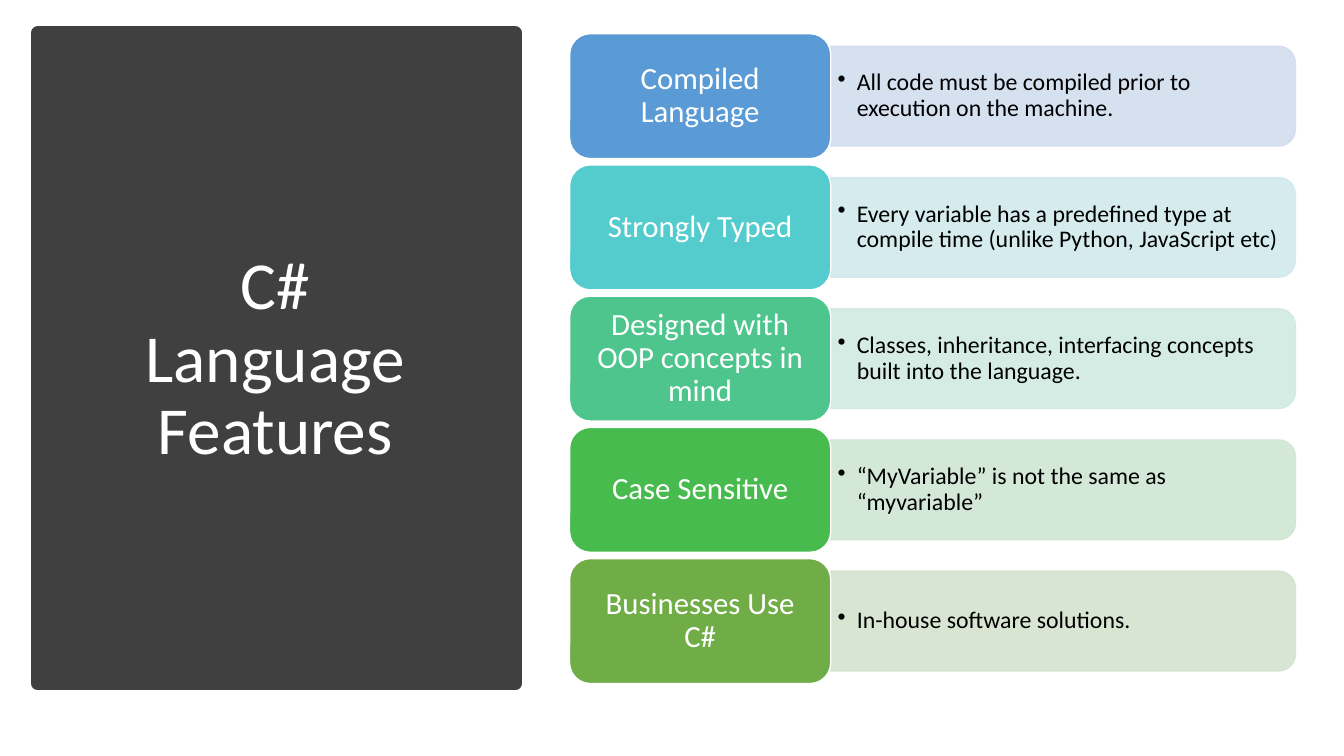
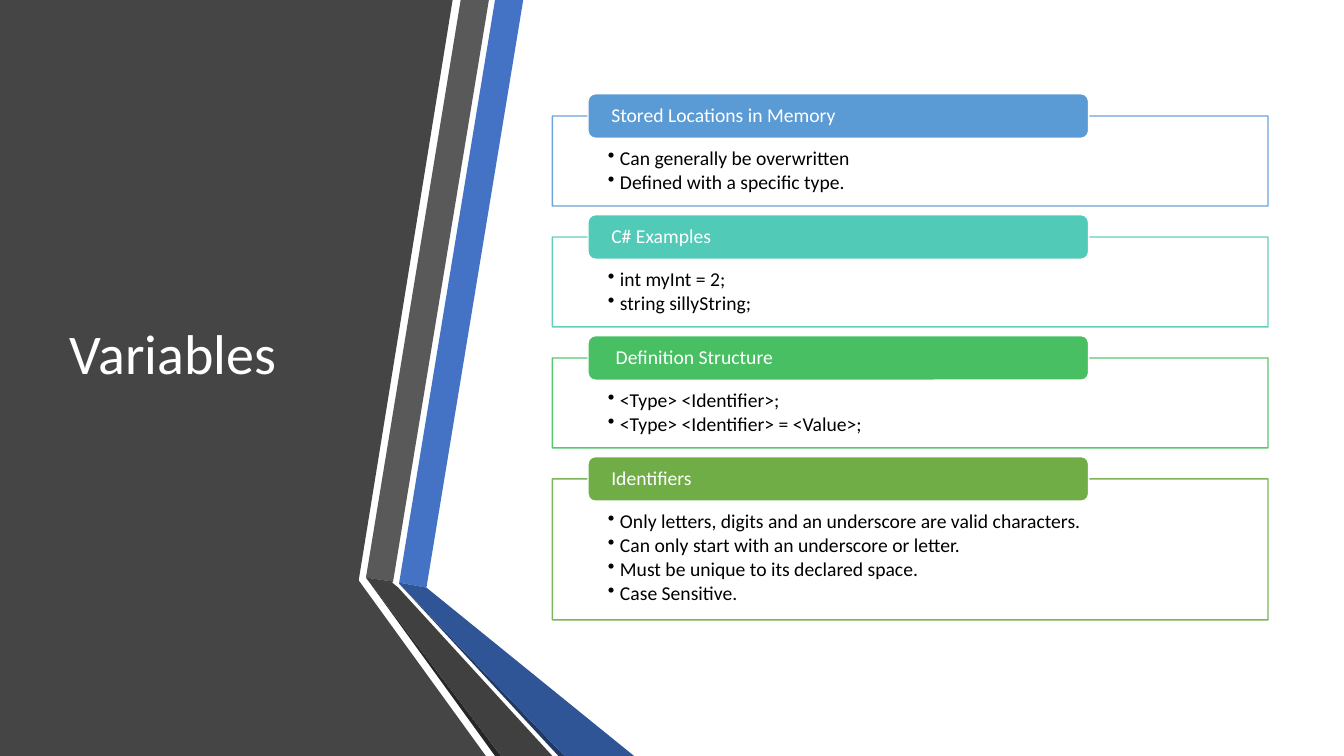
import pptx
import pptx.util
import pptx.dml.color
import pptx.enum.shapes
import pptx.enum.text
import pptx.oxml.ns
from lxml import etree

RGB = pptx.dml.color.RGBColor
KIND = pptx.enum.shapes.MSO_SHAPE
ALIGN = pptx.enum.text.PP_ALIGN
ANCHOR = pptx.enum.text.MSO_ANCHOR
Pt = pptx.util.Pt
Inches = pptx.util.Inches
qn = pptx.oxml.ns.qn

WIDTH = Inches(13.33)
HEIGHT = Inches(7.5)
COL = WIDTH / 100
ROW = HEIGHT / 100

WHITE = RGB(0xFF, 0xFF, 0xFF)
BLACK = RGB(0x00, 0x00, 0x00)
COAL = RGB(0x40, 0x40, 0x40)
SLATE = RGB(0x45, 0x45, 0x45)
GREY = RGB(0x59, 0x59, 0x59)
INK = RGB(0x26, 0x26, 0x26)
BLUE = RGB(0x44, 0x72, 0xC4)
NAVY = RGB(0x20, 0x38, 0x64)
ROYAL = RGB(0x2F, 0x55, 0x97)
SKY = RGB(0x5B, 0x9B, 0xD5)
AQUA = RGB(0x54, 0xCC, 0xCD)
MINT = RGB(0x4D, 0xC5, 0x8D)
GREEN = RGB(0x48, 0xBB, 0x4F)
OLIVE = RGB(0x70, 0xAD, 0x47)
TEAL = RGB(0x52, 0xCA, 0xB8)
LEAF = RGB(0x49, 0xBF, 0x64)
PALE_SKY = RGB(0xD2, 0xDE, 0xEF)
PALE_AQUA = RGB(0xD1, 0xE9, 0xED)
PALE_MINT = RGB(0xD0, 0xEA, 0xE1)
PALE_GREEN = RGB(0xD0, 0xE6, 0xD4)
PALE_OLIVE = RGB(0xD5, 0xE3, 0xCF)

FEATURES = [
    ("Compiled Language", "All code must be compiled prior to execution on the machine.",
     SKY, PALE_SKY),
    ("Strongly Typed",
     "Every variable has a predefined type at compile time (unlike Python, JavaScript etc)",
     AQUA, PALE_AQUA),
    ("Designed with OOP concepts in mind",
     "Classes, inheritance, interfacing concepts built into the language.",
     MINT, PALE_MINT),
    ("Case Sensitive", "“MyVariable” is not the same as “myvariable”",
     GREEN, PALE_GREEN),
    ("Businesses Use C#", "In-house software solutions.", OLIVE, PALE_OLIVE),
]

TOPICS = [
    ("Stored Locations in Memory", SKY, 11.9,
     ["Can generally be overwritten", "Defined with a specific type."]),
    ("C# Examples", TEAL, 11.9, ["int myInt = 2;", "string sillyString;"]),
    (" Definition Structure", LEAF, 11.9,
     ["<Type> <Identifier>;", "<Type> <Identifier> = <Value>;"]),
    ("Identifiers", OLIVE, 18.65,
     ["Only letters, digits and an underscore are valid characters.",
      "Can only start with an underscore or letter.",
      "Must be unique to its declared space.", "Case Sensitive."]),
]

BANDS = [
    (SLATE, [(0, 0), (33.68, 0), (26.7, 76.67), (26.7, 76.8), (36.15, 100), (0, 100)]),
    (BLUE, [(29.7, 77.07), (31.73, 77.73), (38.93, 0), (36.83, 0)]),
    (GREY, [(36.38, 0), (34.28, 0), (27.23, 76.4), (29.25, 76.93)]),
    (INK, [(27.23, 76.4), (36.83, 100), (37.28, 100)]),
    (NAVY, [(29.7, 77.2), (41.55, 100), (42, 100)]),
    (ROYAL, [(29.7, 77.2), (42, 100), (47.18, 100), (31.73, 77.73), (29.7, 77.07)]),
    (COAL, [(41.1, 100), (29.63, 77.73), (29.18, 77.07), (29.25, 76.93),
            (27.23, 76.4), (37.28, 100)]),
]


def apply(item, values):
    for name, value in values.items():
        setattr(item, name, value)


def area(left, top, width, height):
    return [round(left * COL), round(top * ROW), round(width * COL), round(height * ROW)]


def paint(shape, fill, line=None, weight=1, clear=False):
    shape.shadow.inherit = False
    shape.fill.solid()
    shape.fill.fore_color.rgb = fill
    if line is None:
        shape.line.fill.background()
    else:
        shape.line.color.rgb = line
        shape.line.width = Pt(weight)
    if clear:
        for color in shape.fill._xPr.iter(qn("a:srgbClr")):
            etree.SubElement(color, qn("a:alpha"), val="90000")


def write(shape, lines, size, color=WHITE, align=ALIGN.LEFT, anchor=ANCHOR.MIDDLE,
          inset=(0.1, 0.05), hang=0):
    frame = shape.text_frame
    side, edge = map(Inches, inset)
    apply(frame, {"word_wrap": True, "auto_size": pptx.enum.text.MSO_AUTO_SIZE.NONE,
                  "vertical_anchor": anchor, "margin_left": side, "margin_right": side,
                  "margin_top": edge, "margin_bottom": edge})
    for index, line in enumerate(lines):
        para = frame.add_paragraph() if index else frame.paragraphs[0]
        para.text = line
        apply(para, {"alignment": align, "line_spacing": 0.9,
                     "space_before": Pt(0), "space_after": Pt(2 if hang else 0)})
        apply(para.font, {"size": Pt(size), "name": "Calibri"})
        para.font.color.rgb = color
        if hang:
            props = para._p.get_or_add_pPr()
            props.set("marL", str(Inches(hang)))
            props.set("indent", str(-Inches(hang)))
            etree.SubElement(props, qn("a:buChar"), char="•")


def block(slide, kind, place, fill, line, **style):
    shape = slide.shapes.add_shape(kind, *area(*place))
    paint(shape, fill, line, **style)
    return shape


def band(slide, color, points):
    spots = [(round(x * COL), round(y * ROW)) for x, y in points]
    draft = slide.shapes.build_freeform(*spots[0])
    draft.add_line_segments(spots[1:])
    paint(draft.convert_to_shape(), color)


def head(slide, text, place, size, align=ALIGN.LEFT):
    title = slide.shapes.title
    slide.shapes._spTree.append(title._element)
    apply(title, dict(zip(("left", "top", "width", "height"), area(*place))))
    write(title, [text], size, align=align)


def bar(slide, left, mid, width, height, color):
    x, y, wide, high = area(left, mid - height / 2, width, height)
    shift = (wide - high) // 2
    shape = slide.shapes.add_shape(
        KIND.ROUND_2_SAME_RECTANGLE, x + shift, y - shift, high, wide)
    shape.rotation = 90
    paint(shape, color, color, clear=True)


def feature(slide, top, name, note, color, pale):
    high = 16.53
    mid = top + high / 2
    bar(slide, 61.8, mid, 34.58, 13.2, pale)
    box = slide.shapes.add_textbox(*area(61.8, mid - 5.93, 34.2, 11.86))
    write(box, [note], 17, BLACK, inset=(0.07, 0.04), hang=0.19)
    tile = block(slide, KIND.ROUNDED_RECTANGLE, (42.38, top, 19.43, high), color, WHITE)
    write(tile, [name], 22, align=ALIGN.CENTER, inset=(0.15, 0.11))


def topic(slide, top, name, color, high, notes):
    box = block(slide, KIND.RECTANGLE, (41.1, top, 53.25, high), WHITE, color, clear=True)
    write(box, notes, 14, BLACK, anchor=ANCHOR.TOP, inset=(0.55, 0.32), hang=0.12)
    box.text_frame.margin_bottom = Inches(0.11)
    label = block(slide, KIND.ROUNDED_RECTANGLE, (43.75, top - 2.95, 37.25, 5.9),
                  color, WHITE)
    write(label, [name], 14, inset=(0.21, 0))


def features(slide):
    block(slide, KIND.RECTANGLE, (2.8, 4.4, 35.55, 86), COAL, COAL, weight=10)
    head(slide, "C#\vLanguage Features", (4.88, 9.33, 31.2, 76.67), 48, ALIGN.CENTER)
    for index, item in enumerate(FEATURES):
        feature(slide, 4.45 + index * 17.36, *item)


def topics(slide):
    for color, points in BANDS:
        band(slide, color, points)
    head(slide, "Variables", (4.43, 10, 22.8, 74.4), 40)
    top = 15.35
    for name, color, high, notes in TOPICS:
        topic(slide, top, name, color, high, notes)
        top += high + 4.1


def main():
    deck = pptx.Presentation()
    apply(deck, {"slide_width": WIDTH, "slide_height": HEIGHT})
    for build in (features, topics):
        build(deck.slides.add_slide(deck.slide_layouts[5]))
    deck.save("out.pptx")


if __name__ == "__main__":
    main()
